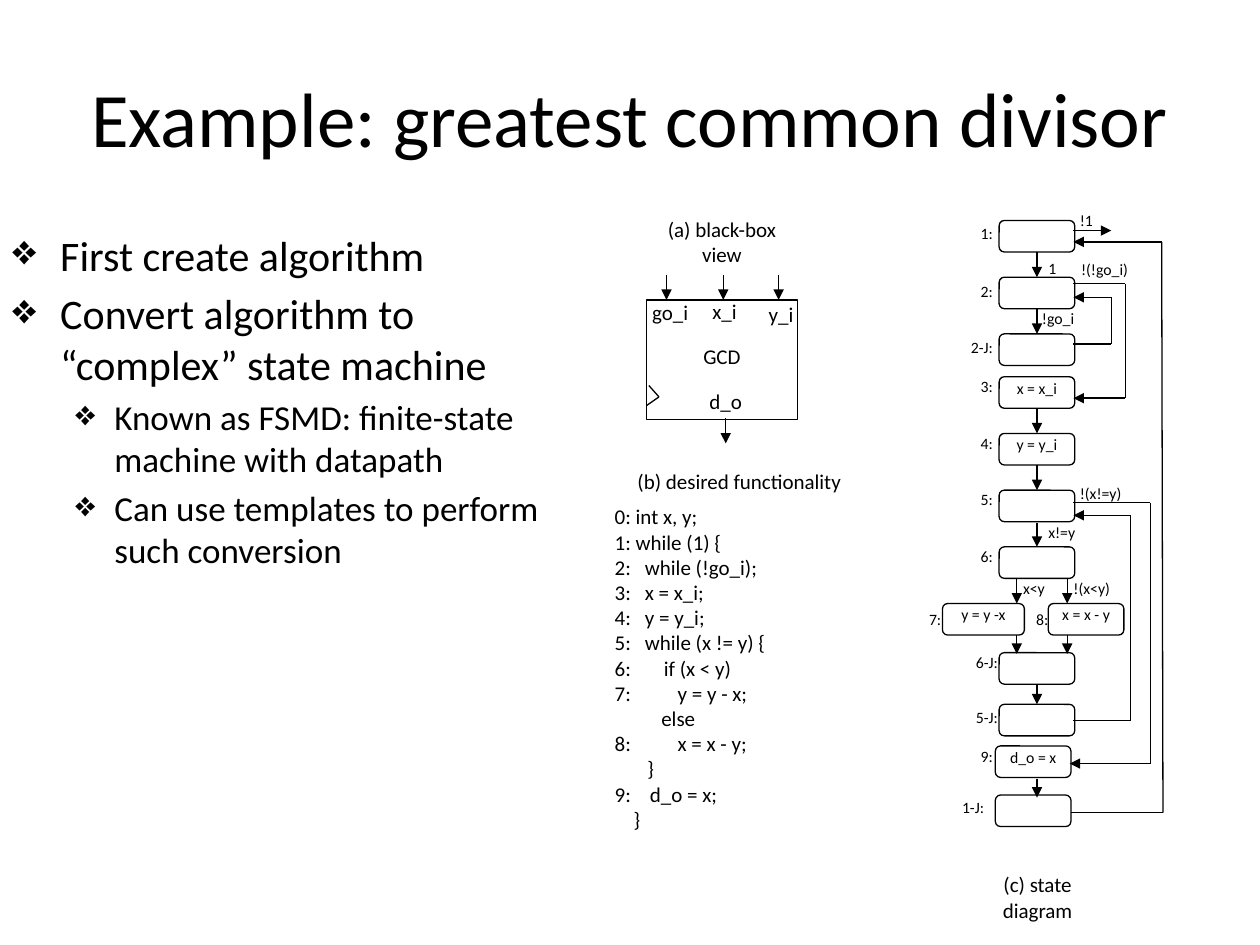
"""Build a slide on the greatest common divisor state machine."""
from lxml import etree
from pptx import Presentation
from pptx import util as u
from pptx.dml.color import RGBColor
from pptx.enum import shapes, text
from pptx.oxml import ns

INK, PAPER, FONT = "000000", "FFFFFF", "Calibri"
LEFT, CENTER, RIGHT = text.PP_ALIGN.LEFT, text.PP_ALIGN.CENTER, text.PP_ALIGN.RIGHT

TITLE = "Example: greatest common divisor"
BULLETS = [
    (0, "First create algorithm"),
    (0, "Convert algorithm to “complex” state machine"),
    (1, "Known as FSMD: finite-state machine with datapath"),
    (1, "Can use templates to perform such conversion"),
]
BULLET_STYLES = [(24, 0.38, 0.38), (20, 0.81, 0.31)]

# label, code, indent
CODE = [
    ("", "0: int x, y;", 0),
    ("", "1: while (1) {", 0),
    ("2:", "while (!go_i);", 0.24),
    ("3:", "x = x_i;", 0.24),
    ("4:", "y = y_i;", 0.24),
    ("5:", "while (x != y) {", 0.24),
    ("6:", "if (x < y)", 0.39),
    ("7:", "y = y - x;", 0.5),
    ("", "else", 0.37),
    ("8:", "x = x - y;", 0.5),
    ("", "}", 0.26),
    ("9:", "d_o = x;", 0.28),
    ("", "}", 0.15),
]

CAPTIONS = [
    ("(a) black-box view", 5.15, 1.72, 1.16, CENTER),
    ("(b) desired functionality", 5.06, 3.72, 1.73, LEFT),
    ("(c) state diagram", 7.7, 6.92, 1.07, CENTER),
]
PORTS = [("go_i", 5.32, 2.38), ("x_i", 5.75, 2.37), ("y_i", 6.2, 2.39), ("d_o", 5.76, 3.08)]

# label, action, left, top, width, label gap, label drop
STATES = [
    ("1:", "", 7.93, 1.75, 0.6, 0.05, 0.03),
    ("2:", "", 7.93, 2.2, 0.6, 0.05, 0.04),
    ("2-J:", "", 7.93, 2.65, 0.6, 0.05, 0.03),
    ("3:", "x = x_i", 7.93, 2.99, 0.6, 0.05, 0),
    ("4:", "y = y_i", 7.93, 3.44, 0.6, 0.05, 0),
    ("5:", "", 7.93, 3.89, 0.6, 0.05, 0),
    ("6:", "", 7.93, 4.34, 0.6, 0.05, 0),
    ("7:", "y = y -x", 7.48, 4.79, 0.65, 0.01, 0.05),
    ("8:", "x = x - y", 8.32, 4.79, 0.6, 0, 0.05),
    ("6-J:", "", 7.93, 5.18, 0.6, 0.01, 0),
    ("5-J:", "", 7.93, 5.59, 0.6, 0.01, 0.03),
    ("9:", "d_o = x", 7.9, 5.92, 0.6, 0.02, 0.01),
    ("1-J:", "", 7.9, 6.31, 0.6, 0.09, 0.02),
]
STATE_HEIGHT = 0.25
CONDITIONS = [
    ("!1", 8.57, 1.67), ("1", 8.32, 2.05), ("!(!go_i)", 8.58, 2.06), ("!go_i", 8.27, 2.45),
    ("!(x!=y)", 8.57, 3.84), ("x!=y", 8.32, 4.15), ("x<y", 8.12, 4.59), ("!(x<y)", 8.52, 4.59),
]

# x, top, bottom
DOWN_ARROWS = [
    (5.29, 2.18, 2.38), (5.74, 2.18, 2.38), (6.18, 2.18, 2.38), (5.76, 3.32, 3.52),
    (8.23, 2, 2.2), (8.23, 2.45, 2.65), (8.23, 3.24, 3.44), (8.23, 3.69, 3.89),
    (8.23, 4.15, 4.34), (8.07, 4.59, 4.79), (8.47, 4.59, 4.79), (8.07, 5.04, 5.19),
    (8.47, 5.04, 5.19), (8.23, 5.44, 5.59), (8.23, 6.18, 6.33),
]
LOOPS = [
    [(8.52, 1.83), (8.82, 1.83)],
    [(8.52, 2.25), (8.93, 2.25), (8.93, 3.16), (8.52, 3.16)],
    [(8.52, 2.73), (8.82, 2.73), (8.82, 2.36), (8.52, 2.36)],
    [(8.52, 3.99), (9.13, 3.99), (9.13, 6.06), (8.49, 6.06)],
    [(8.52, 5.72), (8.97, 5.72), (8.97, 4.09), (8.52, 4.09)],
    [(8.5, 6.45), (9.23, 6.45), (9.22, 1.92), (8.52, 1.92)],
]
CLOCK_WEDGE = [(5.15, 3.06), (5.23, 3.15), (5.13, 3.22)]


def length(inches):
    """Convert inches to a slide length."""
    return u.Cm(inches * 2.54)


def paint(color_format, color):
    """Apply a hex colour to a fill, line or font colour."""
    color_format.rgb = RGBColor.from_string(color)


def style(para, size, align=LEFT):
    """Format one paragraph."""
    para.alignment = align
    para.font.size, para.font.name = u.Pt(size), FONT
    paint(para.font.color, INK)


def indent(para, margin, hang):
    """Set the left margin and hanging indent of a paragraph."""
    props = para._p.get_or_add_pPr()
    props.set("marL", str(length(margin)))
    props.set("indent", str(-length(hang)))
    return props


def set_margins(frame, top=0.0):
    """Clear the insets of a text frame, keeping a given top one."""
    frame.word_wrap = True
    frame.margin_left = frame.margin_right = frame.margin_bottom = 0
    frame.margin_top = length(top)


def add_label(slide, words, left, top, width, size, align=LEFT):
    """Add a single-paragraph text box without insets."""
    frame = slide.shapes.add_textbox(*map(length, (left, top, width, 0.2))).text_frame
    set_margins(frame)
    frame.text = words
    style(frame.paragraphs[0], size, align)


def add_box(slide, kind, words, area, size, top_inset=0.0):
    """Add an outlined box with top-anchored centred text."""
    box = slide.shapes.add_shape(kind, *map(length, area))
    box.shadow.inherit = False
    box.fill.solid()
    paint(box.fill.fore_color, PAPER)
    paint(box.line.color, INK)
    box.line.width = u.Pt(0.75)
    frame = box.text_frame
    set_margins(frame, top_inset)
    frame.vertical_anchor = text.MSO_ANCHOR.TOP
    if words:
        frame.text = words
        style(frame.paragraphs[0], size, CENTER)


def add_route(slide, points, arrow=True):
    """Join points with straight lines, the last one with an arrowhead."""
    for start, end in zip(points, points[1:]):
        line = slide.shapes.add_connector(
            shapes.MSO_CONNECTOR.STRAIGHT, *map(length, start + end))
        paint(line.line.color, INK)
        line.line.width = u.Pt(0.75)
        if arrow and end == points[-1]:
            etree.SubElement(line.line._get_or_add_ln(), ns.qn("a:tailEnd"), type="triangle")
        etree.SubElement(line._element.spPr, ns.qn("a:effectLst"))


def add_paragraphs(slide, area, count):
    """Add a wrapping text box and return its paragraphs."""
    frame = slide.shapes.add_textbox(*map(length, area)).text_frame
    frame.word_wrap = True
    for _ in range(count - 1):
        frame.add_paragraph()
    return frame.paragraphs


def add_bullets(slide):
    """Add the bulleted explanation."""
    for para, (level, words) in zip(add_paragraphs(slide, (0, 1.77, 4.44, 5.73), len(BULLETS)), BULLETS):
        size, margin, hang = BULLET_STYLES[level]
        para.text, para.level = words, level
        style(para, size)
        props = indent(para, margin, hang)
        para.space_before = u.Pt(size * 0.2)
        props.insert_element_before(
            props.makeelement(ns.qn("a:buChar"), {"char": "❖"}), "a:tabLst", "a:defRPr", "a:extLst")


def add_code(slide):
    """Add the numbered program listing."""
    for para, (label, code, margin) in zip(add_paragraphs(slide, (4.78, 3.95, 2.12, 2.63), len(CODE)), CODE):
        para.text = f"{label}\t{code}" if label else code
        style(para, 12)
        indent(para, margin, margin if label else 0)


def main():
    """Assemble and save the slide."""
    deck = Presentation()
    deck.slide_width, deck.slide_height = length(10), length(7.5)
    slide = deck.slides.add_slide(deck.slide_layouts[5])
    title = slide.shapes.title
    title.left, title.top, title.width, title.height = map(length, (0.5, 0.3, 9, 1.25))
    title.text = TITLE
    style(title.text_frame.paragraphs[0], 44, CENTER)

    add_bullets(slide)
    add_code(slide)
    add_box(slide, shapes.MSO_SHAPE.RECTANGLE, "GCD", (5.13, 2.38, 1.2, 0.95), 12, 0.35)
    for words, left, top, width, align in CAPTIONS:
        add_label(slide, words, left, top, width, 12, align)
    for words, middle, top in PORTS:
        add_label(slide, words, middle - 0.2, top, 0.4, 12, CENTER)
    for label, action, left, top, width, gap, drop in STATES:
        add_box(slide, shapes.MSO_SHAPE.ROUNDED_RECTANGLE, action, (left, top, width, STATE_HEIGHT), 9)
        add_label(slide, label, left - gap - 0.4, top + drop, 0.4, 9, RIGHT)
    for words, left, top in CONDITIONS:
        add_label(slide, words, left, top, 0.5, 9)
    for x, top, bottom in DOWN_ARROWS:
        add_route(slide, [(x, top), (x, bottom)])
    for points in LOOPS:
        add_route(slide, points)
    add_route(slide, CLOCK_WEDGE, arrow=False)
    deck.save("out.pptx")


if __name__ == "__main__":
    main()
